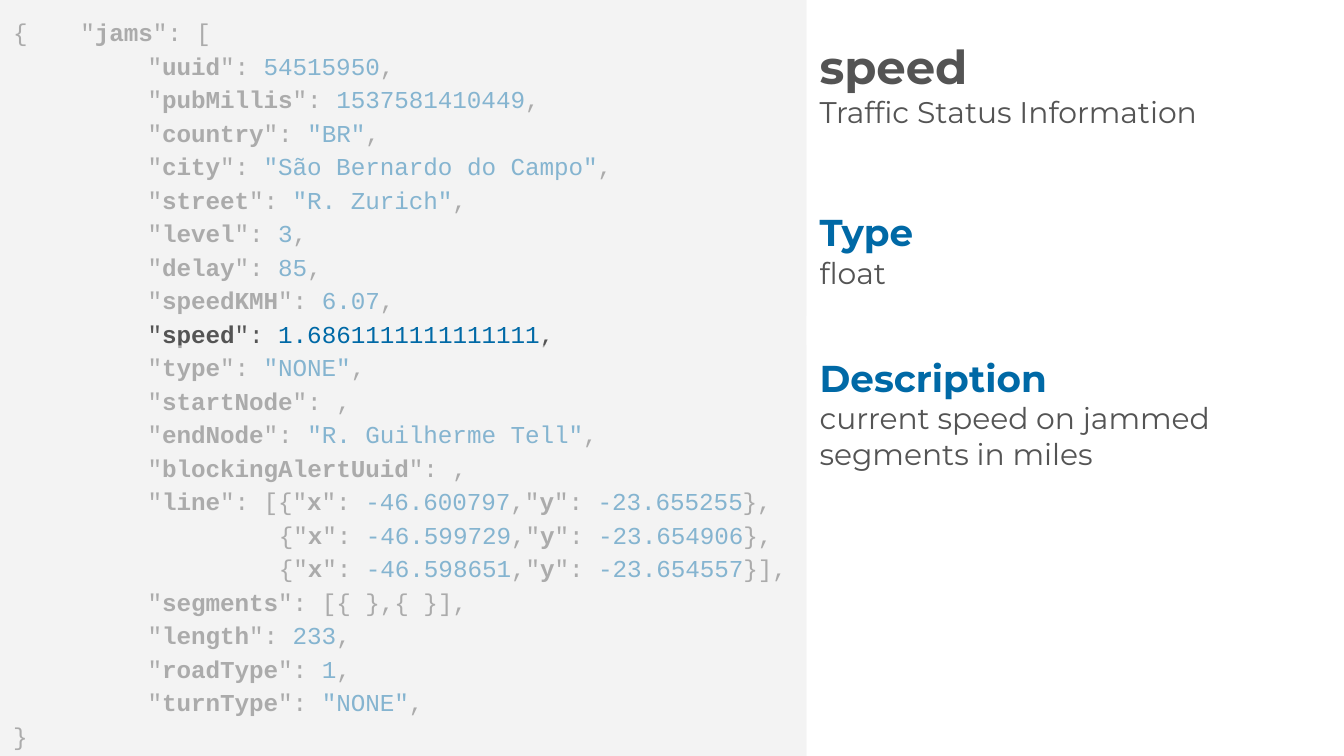
from pptx import Presentation
from pptx import util as u
from pptx.dml.color import RGBColor
from pptx.enum import shapes, text
from pptx.oxml.ns import qn
from lxml import etree

GREY = RGBColor(0x54, 0x54, 0x54)
BLUE = RGBColor(0x00, 0x69, 0xA6)
PANEL = RGBColor(0xF3, 0xF3, 0xF3)

CODE = {"name": "Courier New", "size": u.Pt(13), "bold": False}
TITLE = {"name": "Montserrat", "size": u.Pt(25), "bold": True}
HEADING = {"name": "Montserrat", "size": u.Pt(20), "bold": True}
BODY = {"name": "Montserrat", "size": u.Pt(16), "bold": False}

KEY_INDENT, POINT_INDENT = 2.54, 5.02

FIELDS = [
    [("{\t", "jams", "", "[")],
    [("", "uuid", "54515950", ",")],
    [("", "pubMillis", "1537581410449", ",")],
    [("", "country", '"BR"', ",")],
    [("", "city", '"São Bernardo do Campo"', ",")],
    [("", "street", '"R. Zurich"', ",")],
    [("", "level", "3", ",")],
    [("", "delay", "85", ",")],
    [("", "speedKMH", "6.07", ",")],
    [("", "speed", "1.6861111111111111", ",")],
    [("", "type", '"NONE"', ",")],
    [("", "startNode", "", ",")],
    [("", "endNode", '"R. Guilherme Tell"', ",")],
    [("", "blockingAlertUuid", "", ",")],
    [("", "line", "", "[{"), ("", "x", "-46.600797", ","), ("", "y", "-23.655255", "},")],
    [("{", "x", "-46.599729", ","), ("", "y", "-23.654906", "},")],
    [("{", "x", "-46.598651", ","), ("", "y", "-23.654557", "}],")],
    [("", "segments", "", "[{ },{ }],")],
    [("", "length", "233", ",")],
    [("", "roadType", "1", ",")],
    [("", "turnType", '"NONE"', ",")],
]


def add_run(paragraph, words, style, color, **changes):
    """Append words to a paragraph in the given style and colour."""
    run = paragraph.add_run()
    run.text = words
    for attribute, value in {**style, **changes}.items():
        setattr(run.font, attribute, value)
    run.font.color.rgb = color


def set_frame(frame, anchor=text.MSO_ANCHOR.TOP):
    """Give a text frame even margins, wrapping and an anchor."""
    settings = {"word_wrap": True, "vertical_anchor": anchor}
    settings.update({f"margin_{side}": u.Cm(0.25) for side in ("left", "top", "right", "bottom")})
    for attribute, value in settings.items():
        setattr(frame, attribute, value)


def add_panel(slide, box, opacity=100):
    """Add a plain grey rectangle, translucent when opacity is below 100."""
    panel = slide.shapes.add_shape(shapes.MSO_SHAPE.RECTANGLE, *map(u.Cm, box))
    panel.shadow.inherit = False
    panel.fill.solid()
    panel.fill.fore_color.rgb = PANEL
    panel.line.fill.background()
    if opacity < 100:
        color = panel.fill._xPr.find(qn("a:solidFill"))[0]
        etree.SubElement(color, qn("a:alpha"), val=str(opacity * 1000))
    return panel


def add_code(slide, box):
    """Write the JSON record on a panel filling the box."""
    frame = add_panel(slide, box).text_frame
    set_frame(frame)
    for row, pairs in enumerate(FIELDS + [[]]):
        line = frame.paragraphs[0] if row == 0 else frame.add_paragraph()
        line.alignment = text.PP_ALIGN.LEFT
        line.line_spacing = 1.15
        if not pairs:
            add_run(line, "}", CODE, GREY)
            continue
        indent = {"": KEY_INDENT, "{": POINT_INDENT}.get(pairs[0][0], 0)
        line._p.get_or_add_pPr().set("marL", str(u.Cm(indent)))
        for opening, key, value, closing in pairs:
            add_run(line, opening + '"', CODE, GREY)
            add_run(line, key, CODE, GREY, bold=True)
            add_run(line, '": ', CODE, GREY)
            if value:
                add_run(line, value, CODE, BLUE)
            add_run(line, closing, CODE, GREY)


def add_veils(slide, box, gap_top, gap_bottom):
    """Fade the box except for the band between gap_top and gap_bottom."""
    left, top, width, height = box
    add_panel(slide, (left, top + gap_bottom, width, height - gap_bottom), 55)
    add_panel(slide, (left, top, width, gap_top), 55)


def add_words(slide, box, lines, anchor=text.MSO_ANCHOR.TOP):
    """Add a text box with one paragraph for each (words, style, color)."""
    frame = slide.shapes.add_textbox(*map(u.Cm, box)).text_frame
    set_frame(frame, anchor)
    for row, (words, style, color) in enumerate(lines):
        line = frame.paragraphs[0] if row == 0 else frame.add_paragraph()
        add_run(line, words, style, color)


def add_explanation(slide, box):
    """Place the field name, its type and its description in the box."""
    left, top, width, _ = box
    add_words(slide, (left, top + 0.41, width, 2.34),
              [("speed", TITLE, GREY), ("Traffic Status Information", BODY, GREY)],
              text.MSO_ANCHOR.MIDDLE)
    for heading, detail, offset, detail_height in (
            ("Type", "float", 3.71, 2.21),
            ("Description", "current speed on jammed segments in miles", 6.46, 6.68)):
        add_words(slide, (left, top + offset, 4.9, 1.27), [(heading, HEADING, BLUE)])
        add_words(slide, (left, top + offset + 0.85, width, detail_height),
                  [(detail, BODY, GREY)])


def main():
    """Build and save the slide."""
    deck = Presentation()
    deck.slide_width, deck.slide_height = u.Cm(25.4), u.Cm(14.29)
    slide = deck.slides.add_slide(deck.slide_layouts[6])
    code_box = (0, 0, 15.24, 14.29)
    add_code(slide, code_box)
    add_explanation(slide, (15.24, 0, 10.16, 14.29))
    add_veils(slide, code_box, 5.97, 6.53)
    deck.save("out.pptx")


if __name__ == "__main__":
    main()
